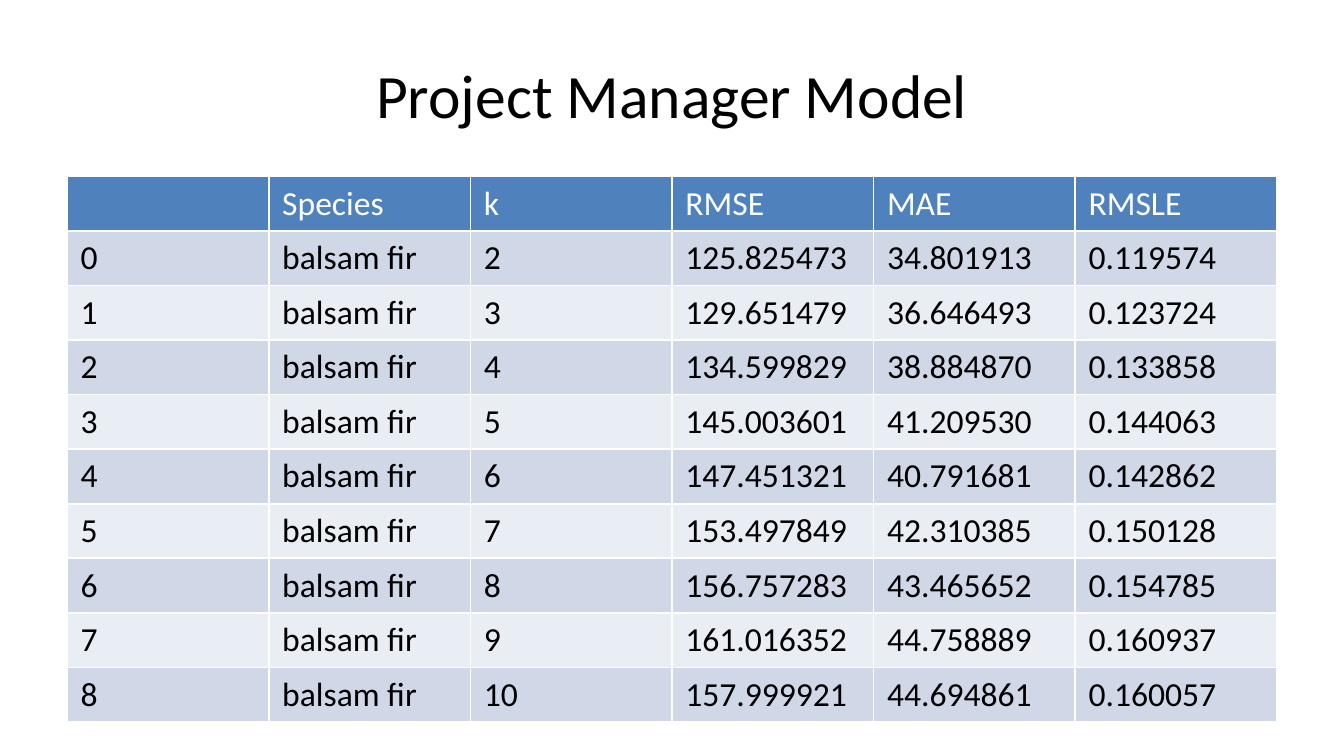
from dataclasses import astuple, dataclass

import lxml.etree
import pptx
import pptx.dml.color
import pptx.enum.text
import pptx.oxml.ns
import pptx.util

EMU_PER_PX = 9525  # 96 px to the inch
FONT = "Calibri"

WHITE = pptx.dml.color.RGBColor(0xFF, 0xFF, 0xFF)
BLACK = pptx.dml.color.RGBColor(0x00, 0x00, 0x00)
HEADER_BLUE = pptx.dml.color.RGBColor(0x4F, 0x81, 0xBD)
BAND_DARK = pptx.dml.color.RGBColor(0xD0, 0xD8, 0xE8)
BAND_LIGHT = pptx.dml.color.RGBColor(0xE9, 0xED, 0xF4)

LEFT, WIDTH = 48, 864
ROW_HEIGHT = 39
HEADINGS = ("", "Species", "k", "RMSE", "MAE", "RMSLE")


@dataclass(frozen=True)
class ModelScore:
    index: str
    species: str
    k: str
    rmse: str
    mae: str
    rmsle: str


ERRORS = (
    ("125.825473", "34.801913", "0.119574"),
    ("129.651479", "36.646493", "0.123724"),
    ("134.599829", "38.884870", "0.133858"),
    ("145.003601", "41.209530", "0.144063"),
    ("147.451321", "40.791681", "0.142862"),
    ("153.497849", "42.310385", "0.150128"),
    ("156.757283", "43.465652", "0.154785"),
    ("161.016352", "44.758889", "0.160937"),
    ("157.999921", "44.694861", "0.160057"),
)
SCORES = [
    ModelScore(str(index), "balsam fir", str(index + 2), *errors)
    for index, errors in enumerate(ERRORS)
]


def px(length: int) -> pptx.util.Emu:
    return pptx.util.Emu(length * EMU_PER_PX)


def write_text(frame, text: str, *, size: int = 18, color=BLACK,
               align=pptx.enum.text.PP_ALIGN.LEFT) -> None:
    paragraph = frame.paragraphs[0]
    paragraph.alignment = align
    paragraph.font.size = pptx.util.Pt(size)
    if not text:
        return
    run = paragraph.add_run()
    run.text = text
    run.font.name = FONT
    run.font.size = pptx.util.Pt(size)
    run.font.color.rgb = color


def set_borders(cell, color, width: int = 1) -> None:
    properties = cell._tc.get_or_add_tcPr()
    qn = pptx.oxml.ns.qn
    for side in ("a:lnL", "a:lnR", "a:lnT", "a:lnB"):
        line = lxml.etree.SubElement(properties, qn(side), w=str(pptx.util.Pt(width)))
        fill = lxml.etree.SubElement(line, qn("a:solidFill"))
        lxml.etree.SubElement(fill, qn("a:srgbClr"), val=str(color))


def add_title(slide, text: str) -> None:
    box = slide.shapes.add_textbox(px(LEFT), px(22), px(WIDTH), px(90))
    frame = box.text_frame
    frame.word_wrap = True
    frame.vertical_anchor = pptx.enum.text.MSO_ANCHOR.MIDDLE
    write_text(frame, text, size=33, align=pptx.enum.text.PP_ALIGN.CENTER)


def add_score_table(slide, scores: list[ModelScore]) -> None:
    rows = [HEADINGS, *map(astuple, scores)]
    table = slide.shapes.add_table(
        len(rows), len(HEADINGS), px(LEFT), px(126), px(WIDTH), px(ROW_HEIGHT * len(rows))
    ).table
    for row_number, values in enumerate(rows):
        if row_number == 0:
            background, color = HEADER_BLUE, WHITE
        else:
            background, color = (BAND_DARK if row_number % 2 else BAND_LIGHT), BLACK
        for column_number, value in enumerate(values):
            cell = table.cell(row_number, column_number)
            set_borders(cell, WHITE)
            cell.fill.solid()
            cell.fill.fore_color.rgb = background
            write_text(cell.text_frame, value, color=color)


def main() -> None:
    presentation = pptx.Presentation()
    presentation.slide_width, presentation.slide_height = px(960), px(540)
    slide = presentation.slides.add_slide(presentation.slide_layouts[6])

    # Heading
    add_title(slide, "Project Manager Model")

    # Scores for each k
    add_score_table(slide, SCORES)

    presentation.save("out.pptx")


if __name__ == "__main__":
    main()
